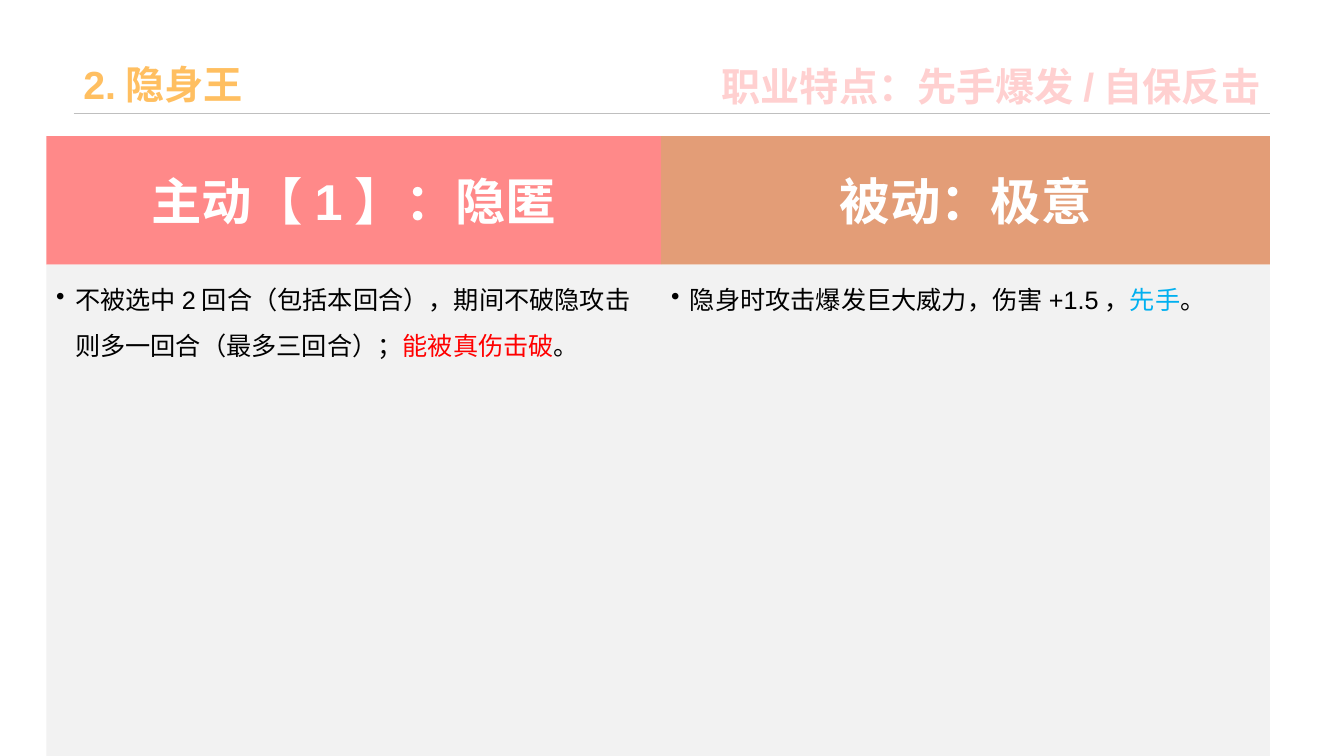
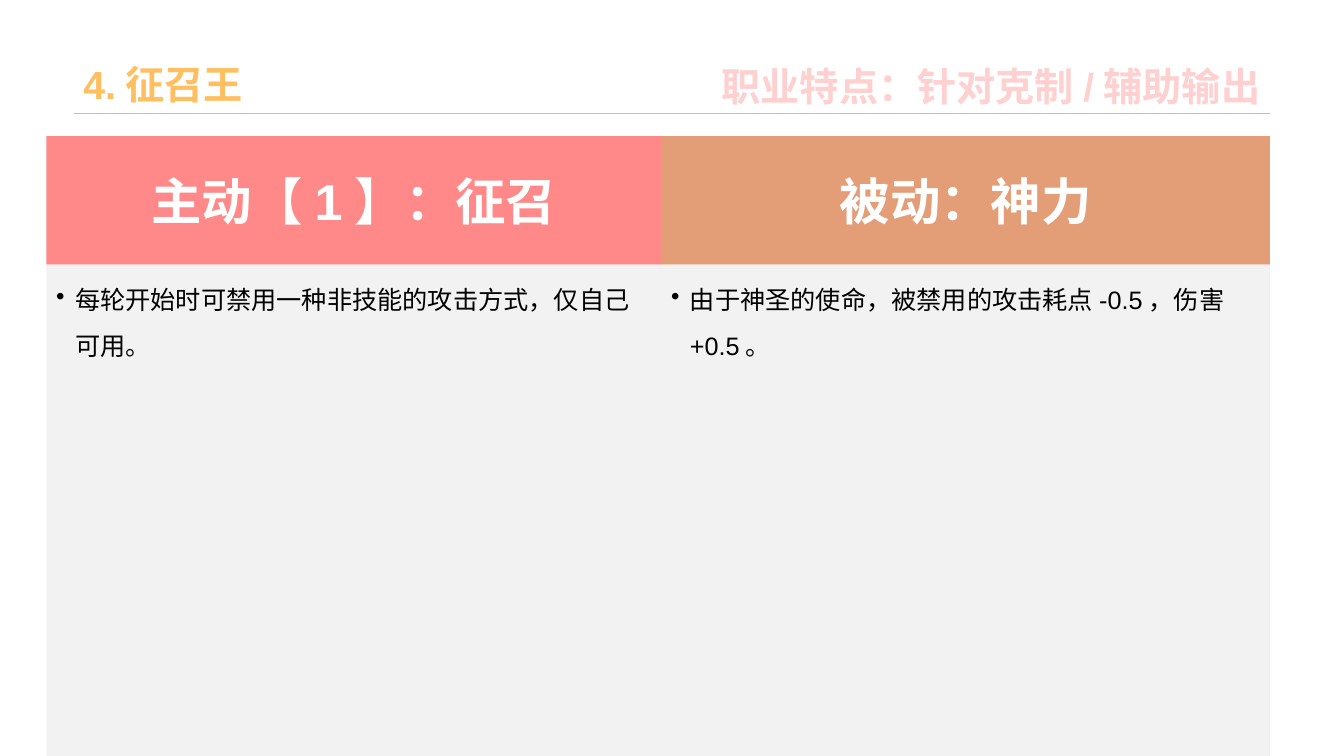
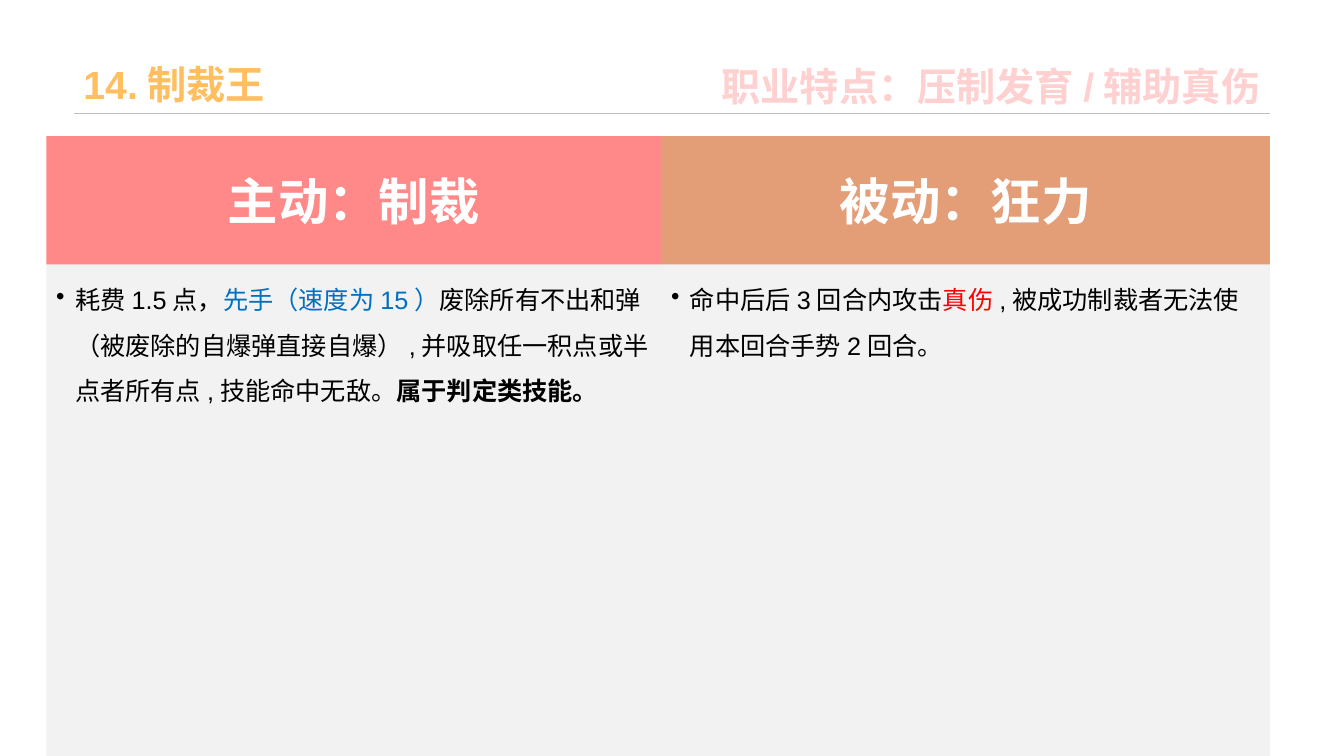
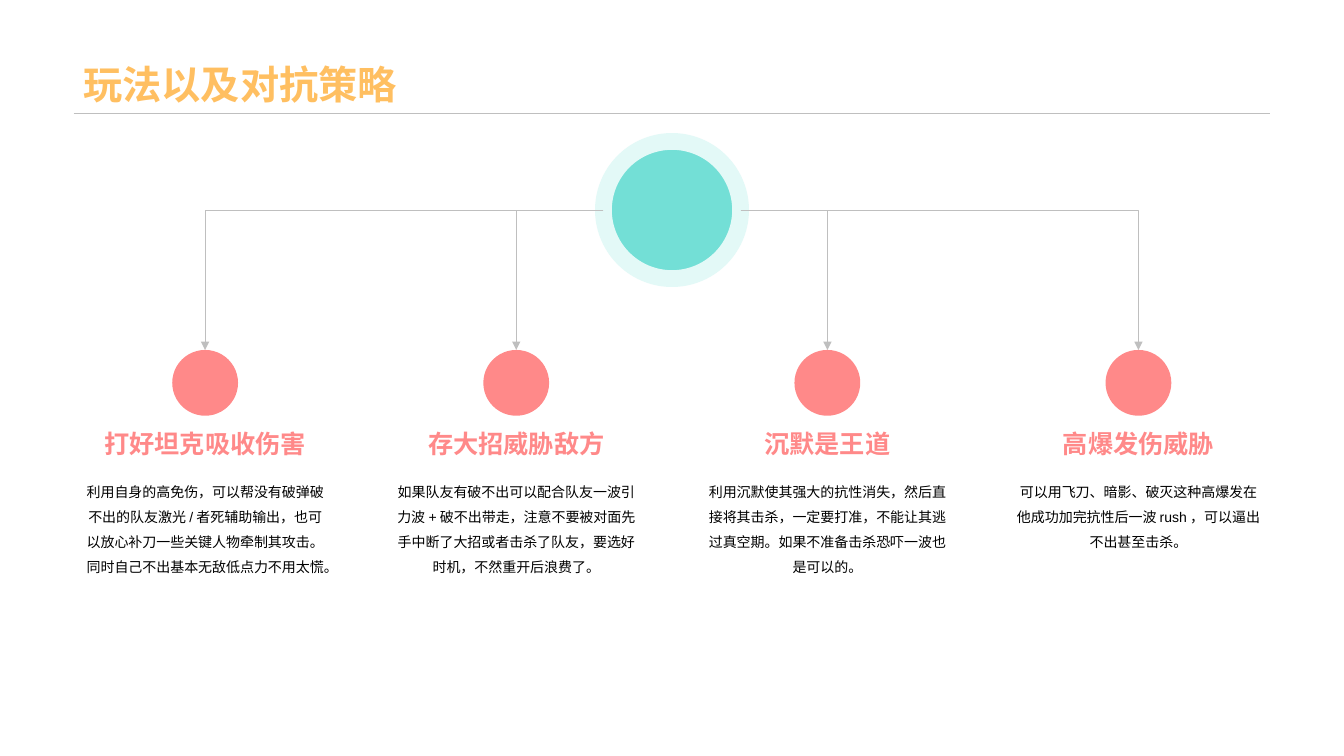
from lxml import etree
from pptx import Presentation
from pptx.dml.color import RGBColor
from pptx.enum.shapes import MSO_CONNECTOR, MSO_SHAPE
from pptx.enum.text import MSO_ANCHOR, PP_ALIGN
from pptx.oxml.ns import qn
from pptx.util import Pt

RECTANGLE, OVAL = MSO_SHAPE.RECTANGLE, MSO_SHAPE.OVAL
STRAIGHT, ELBOW = MSO_CONNECTOR.STRAIGHT, MSO_CONNECTOR.ELBOW
TOP, MIDDLE, BOTTOM = MSO_ANCHOR.TOP, MSO_ANCHOR.MIDDLE, MSO_ANCHOR.BOTTOM
LEFT, CENTER, RIGHT = PP_ALIGN.LEFT, PP_ALIGN.CENTER, PP_ALIGN.RIGHT

WHITE = RGBColor(0xFF, 0xFF, 0xFF)
BLACK = RGBColor(0x00, 0x00, 0x00)
AMBER = RGBColor(0xFF, 0xBF, 0x61)
PINK = RGBColor(0xFF, 0x89, 0x89)
PALE_PINK = RGBColor(0xFF, 0xD0, 0xD0)
CLAY = RGBColor(0xE3, 0x9D, 0x77)
PANEL = RGBColor(0xF2, 0xF2, 0xF2)
GRAY = RGBColor(0xBF, 0xBF, 0xBF)
TEAL = RGBColor(0x73, 0xDF, 0xD6)
PALE_TEAL = RGBColor(0xE3, 0xF9, 0xF7)
RED = RGBColor(0xFF, 0x00, 0x00)
SKY = RGBColor(0x00, 0xB0, 0xF0)
BLUE = RGBColor(0x00, 0x70, 0xC0)

FONT = "Arial"
PAGE_WIDTH, PAGE_HEIGHT = 960, 540
MARGIN, RIGHT_EDGE, RULE_TOP = 52.56, 907.2, 80.64
CONTENT_WIDTH = RIGHT_EDGE - MARGIN
BAND_TOP, BAND_BOTTOM = 97.2, 189
SKILL_COLUMNS = [(33.12, 439.2, PINK), (472.32, 434.88, CLAY)]
BULLET_INDENT = 13.5


def add_block(page, left, top, width, height, fill=None, kind=RECTANGLE):
    if fill is None:
        block = page.shapes.add_textbox(Pt(left), Pt(top), Pt(width), Pt(height))
    else:
        block = page.shapes.add_shape(kind, Pt(left), Pt(top), Pt(width), Pt(height))
        block.shadow.inherit = False
        block.fill.solid()
        block.fill.fore_color.rgb = fill
        block.line.fill.background()
    return block


def write(block, spans, size, color, bold=False, align=LEFT, anchor=TOP, spacing=1.0):
    frame = block.text_frame
    frame.word_wrap = True
    frame.vertical_anchor = anchor
    para = frame.paragraphs[0]
    para.alignment = align
    para.line_spacing = spacing
    para.font.name = FONT
    para.font.size = Pt(size)
    para.font.bold = bold
    para.font.color.rgb = color
    for text, span_color, span_bold in spans:
        span = para.add_run()
        span.text = text
        if span_color is not None:
            span.font.color.rgb = span_color
        if span_bold:
            span.font.bold = True
    return para


skill_pages = [
    ("2.隐身王", "职业特点：先手爆发/自保反击", [
        ("主动【1】：隐匿", [
            ("不被选中2回合（包括本回合），期间不破隐攻击则多一回合（最多三回合）；", None, False),
            ("能被真伤击破", RED, False),
            ("。", None, False)]),
        ("被动：极意", [
            ("隐身时攻击爆发巨大威力，伤害+1.5，", None, False),
            ("先手", SKY, False),
            ("。", None, False)])]),
    ("4.征召王", "职业特点：针对克制/辅助输出", [
        ("主动【1】：征召", [
            ("每轮开始时可禁用一种非技能的攻击方式，仅自己可用。", None, False)]),
        ("被动：神力", [
            ("由于神圣的使命，被禁用的攻击耗点-0.5，伤害+0.5。", None, False)])]),
    ("14.制裁王", "职业特点：压制发育/辅助真伤", [
        ("主动：制裁", [
            ("耗费1.5点，", None, False),
            ("先手（速度为15）", BLUE, False),
            ("废除所有不出和弹（被废除的自爆弹直接自爆）,并吸取任一积点或半点者所有点,技能命中无敌。", None, False),
            ("属于判定类技能。", None, True)]),
        ("被动：狂力", [
            ("命中后后3回合内攻击", None, False),
            ("真伤", RED, False),
            (",被成功制裁者无法使用本回合手势2回合。", None, False)])]),
    ("玩法以及对抗策略", None, []),
]

tactics = [
    ("打好坦克吸收伤害", "利用自身的高免伤，可以帮没有破弹破不出的队友激光/者死辅助输出，也可以放心补刀一些关键人物牵制其攻击。同时自己不出基本无敌低点力不用太慌。"),
    ("存大招威胁敌方", "如果队友有破不出可以配合队友一波引力波+破不出带走，注意不要被对面先手中断了大招或者击杀了队友，要选好时机，不然重开后浪费了。"),
    ("沉默是王道", "利用沉默使其强大的抗性消失，然后直接将其击杀，一定要打准，不能让其逃过真空期。如果不准备击杀恐吓一波也是可以的。"),
    ("高爆发伤威胁", "可以用飞刀、暗影、破灭这种高爆发在他成功加完抗性后一波rush，可以逼出不出甚至击杀。"),
]

deck = Presentation()
deck.slide_width, deck.slide_height = Pt(PAGE_WIDTH), Pt(PAGE_HEIGHT)
blank = deck.slide_layouts[6]

for title, feature, skills in skill_pages:
    page = deck.slides.add_slide(blank)
    rule = page.shapes.add_connector(STRAIGHT, Pt(MARGIN), Pt(RULE_TOP), Pt(RIGHT_EDGE), Pt(RULE_TOP))
    rule.line.color.rgb = GRAY
    rule.line.width = Pt(0.5)
    etree.SubElement(rule._element.spPr, qn("a:effectLst"))
    title_box = add_block(page, MARGIN, 0, CONTENT_WIDTH, RULE_TOP)
    write(title_box, [(title, None, False)], 28, AMBER, True, LEFT, BOTTOM, 0.9)
    if feature:
        feature_box = add_block(page, PAGE_WIDTH / 2, 0, RIGHT_EDGE - PAGE_WIDTH / 2, RULE_TOP + 0.7)
        write(feature_box, [(feature, None, False)], 28, PALE_PINK, True, RIGHT, BOTTOM)

    for (left, width, color), (heading, spans) in zip(SKILL_COLUMNS, skills):
        band = add_block(page, left, BAND_TOP, width, BAND_BOTTOM - BAND_TOP, color)
        write(band, [(heading, None, False)], 36, WHITE, True, CENTER, MIDDLE)
        panel = add_block(page, left, BAND_BOTTOM, width, PAGE_HEIGHT - BAND_BOTTOM, PANEL)
        para = write(panel, spans, 18, BLACK, spacing=1.5)
        properties = para._p.get_or_add_pPr()
        properties.set("marL", str(Pt(BULLET_INDENT)))
        properties.set("indent", str(-Pt(BULLET_INDENT)))
        bullet = etree.Element(qn("a:buChar"), char="•")
        properties.find(qn("a:defRPr")).addprevious(bullet)

HUB_SIZE, HUB_CENTER = 98, 150
NODE_SIZE, NODE_TOP = 47, 250
TACTIC_WIDTH = 188
TACTIC_STEP = (CONTENT_WIDTH - TACTIC_WIDTH) / (len(tactics) - 1)

hub_left = (PAGE_WIDTH - HUB_SIZE) / 2
hub = add_block(page, hub_left, HUB_CENTER - HUB_SIZE / 2, HUB_SIZE, HUB_SIZE, TEAL, OVAL)
hub.line.color.rgb = PALE_TEAL
hub.line.width = Pt(12)

for index, (heading, advice) in enumerate(tactics):
    left = MARGIN + index * TACTIC_STEP
    center = left + TACTIC_WIDTH / 2
    start = hub_left if center < PAGE_WIDTH / 2 else hub_left + HUB_SIZE
    arrow = page.shapes.add_connector(ELBOW, Pt(start), Pt(HUB_CENTER), Pt(center), Pt(NODE_TOP))
    arrow.line.color.rgb = GRAY
    arrow.line.width = Pt(0.25)
    etree.SubElement(arrow.line._get_or_add_ln(), qn("a:tailEnd"), type="triangle")
    arrow._element.spPr.find(qn("a:prstGeom")).set("prst", "bentConnector2")
    etree.SubElement(arrow._element.spPr, qn("a:effectLst"))
    add_block(page, center - NODE_SIZE / 2, NODE_TOP, NODE_SIZE, NODE_SIZE, PINK, OVAL)
    advice_box = add_block(page, left, 335.5, TACTIC_WIDTH, 115)
    write(advice_box, [(advice, None, False)], 10, BLACK, align=CENTER, spacing=1.5)
    heading_box = add_block(page, left, 298.5, TACTIC_WIDTH, 37)
    write(heading_box, [(heading, None, False)], 18, PINK, True, CENTER, MIDDLE)

deck.save("out.pptx")
